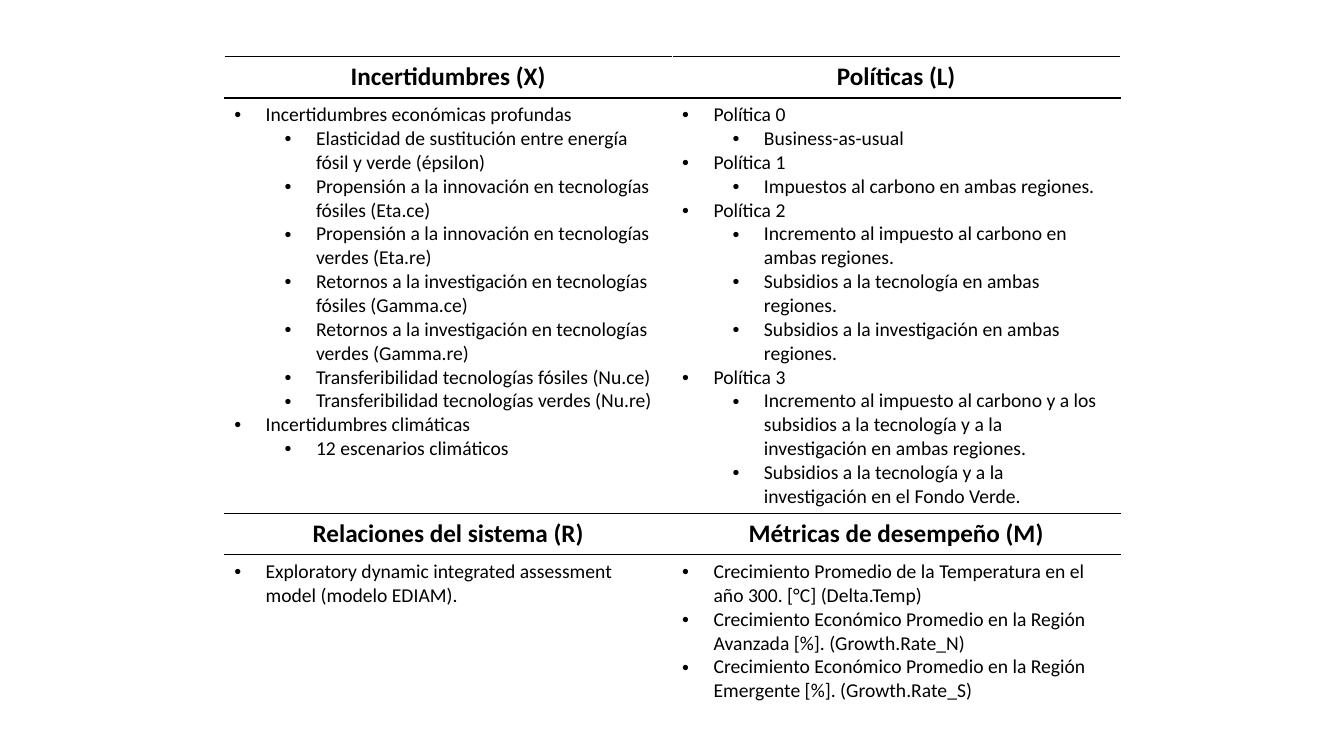
from lxml import etree
from pptx import Presentation
from pptx.dml.color import RGBColor
from pptx.enum import text
from pptx.oxml import ns
from pptx.util import Cm, Pt

BLACK = RGBColor(0x00, 0x00, 0x00)
WHITE = RGBColor(0xFF, 0xFF, 0xFF)

# Each quadrant: heading, then (level, line) items
UNCERTAINTIES = ("Incertidumbres (X)", [
    (0, "Incertidumbres económicas profundas"),
    (1, "Elasticidad de sustitución entre energía fósil y verde (épsilon)"),
    (1, "Propensión a la innovación en tecnologías fósiles (Eta.ce)"),
    (1, "Propensión a la innovación en tecnologías verdes (Eta.re)"),
    (1, "Retornos a la investigación en tecnologías fósiles (Gamma.ce)"),
    (1, "Retornos a la investigación en tecnologías verdes (Gamma.re)"),
    (1, "Transferibilidad tecnologías fósiles (Nu.ce)"),
    (1, "Transferibilidad tecnologías verdes (Nu.re)"),
    (0, "Incertidumbres climáticas"),
    (1, "12 escenarios climáticos"),
])
POLICIES = ("Políticas (L)", [
    (0, "Política 0"),
    (1, "Business-as-usual"),
    (0, "Política 1"),
    (1, "Impuestos al carbono en ambas regiones."),
    (0, "Política 2"),
    (1, "Incremento al impuesto al carbono en ambas regiones."),
    (1, "Subsidios a la tecnología en ambas regiones."),
    (1, "Subsidios a la investigación en ambas regiones."),
    (0, "Política 3"),
    (1, "Incremento al impuesto al carbono y a los subsidios a la tecnología "
        "y a la investigación en ambas regiones."),
    (1, "Subsidios a la tecnología y a la investigación en el Fondo Verde."),
])
RELATIONS = ("Relaciones del sistema (R)", [
    (0, "Exploratory dynamic integrated assessment model (modelo EDIAM)."),
])
METRICS = ("Métricas de desempeño (M)", [
    (0, "Crecimiento Promedio de la Temperatura en el año 300. [°C] (Delta.Temp)"),
    (0, "Crecimiento Económico Promedio en la Región Avanzada [%]. (Growth.Rate_N)"),
    (0, "Crecimiento Económico Promedio en la Región Emergente [%]. (Growth.Rate_S)"),
])
QUADRANTS = [[UNCERTAINTIES, POLICIES], [RELATIONS, METRICS]]

LEFT, TOP, WIDTH = Cm(5.65), Cm(1.43), Cm(22.58)
ROW_HEIGHTS = [Cm(1.04), Cm(10.47), Cm(1.04), Cm(3.66)]
BULLET_INDENT, LEVEL_STEP = Cm(0.79), Cm(1.27)
HEADING = {"name": "Calibri", "size": Pt(18), "bold": True}
BODY = {"name": "Calibri", "size": Pt(14), "bold": False}


def add_line(p, line, font):
    r = p.add_run()
    r.text = line
    for name, value in font.items():
        setattr(r.font, name, value)
    r.font.color.rgb = BLACK


def add_bullet(p, level):
    p.level = level
    pPr = p._p.get_or_add_pPr()
    pPr.set("marL", str(BULLET_INDENT + level * LEVEL_STEP))
    pPr.set("indent", str(-BULLET_INDENT))
    etree.SubElement(pPr, ns.qn("a:buFont"), typeface="Arial")
    etree.SubElement(pPr, ns.qn("a:buChar"), char="•")


def set_borders(cell, bottom):
    tcPr = cell._tc.get_or_add_tcPr()
    sides = {"lnL": WHITE, "lnR": WHITE, "lnT": BLACK, "lnB": bottom}
    for side, color in sides.items():
        ln = etree.SubElement(tcPr, ns.qn("a:" + side), w=str(Pt(1)))
        fill = etree.SubElement(ln, ns.qn("a:solidFill"))
        etree.SubElement(fill, ns.qn("a:srgbClr"), val=str(color))


def fill_heading(cell, heading):
    p = cell.text_frame.paragraphs[0]
    p.alignment = text.PP_ALIGN.CENTER
    add_line(p, heading, HEADING)


def fill_body(cell, items):
    tf = cell.text_frame
    for i, (level, line) in enumerate(items):
        p = tf.add_paragraph() if i else tf.paragraphs[0]
        add_bullet(p, level)
        add_line(p, line, BODY)


prs = Presentation()
prs.slide_width, prs.slide_height = Cm(33.87), Cm(19.05)
s = prs.slides.add_slide(prs.slide_layouts[6])
table = s.shapes.add_table(len(ROW_HEIGHTS), 2, LEFT, TOP, WIDTH, sum(ROW_HEIGHTS)).table
table.first_row = table.horz_banding = False
for row, height in zip(table.rows, ROW_HEIGHTS):
    row.height = height

for band, quadrants in enumerate(QUADRANTS):
    for col, (heading, items) in enumerate(quadrants):
        fill_heading(table.cell(2 * band, col), heading)
        fill_body(table.cell(2 * band + 1, col), items)

for r, row in enumerate(table.rows):
    for cell in row.cells:
        set_borders(cell, WHITE if r == len(ROW_HEIGHTS) - 1 else BLACK)
        cell.fill.background()

prs.save("out.pptx")
